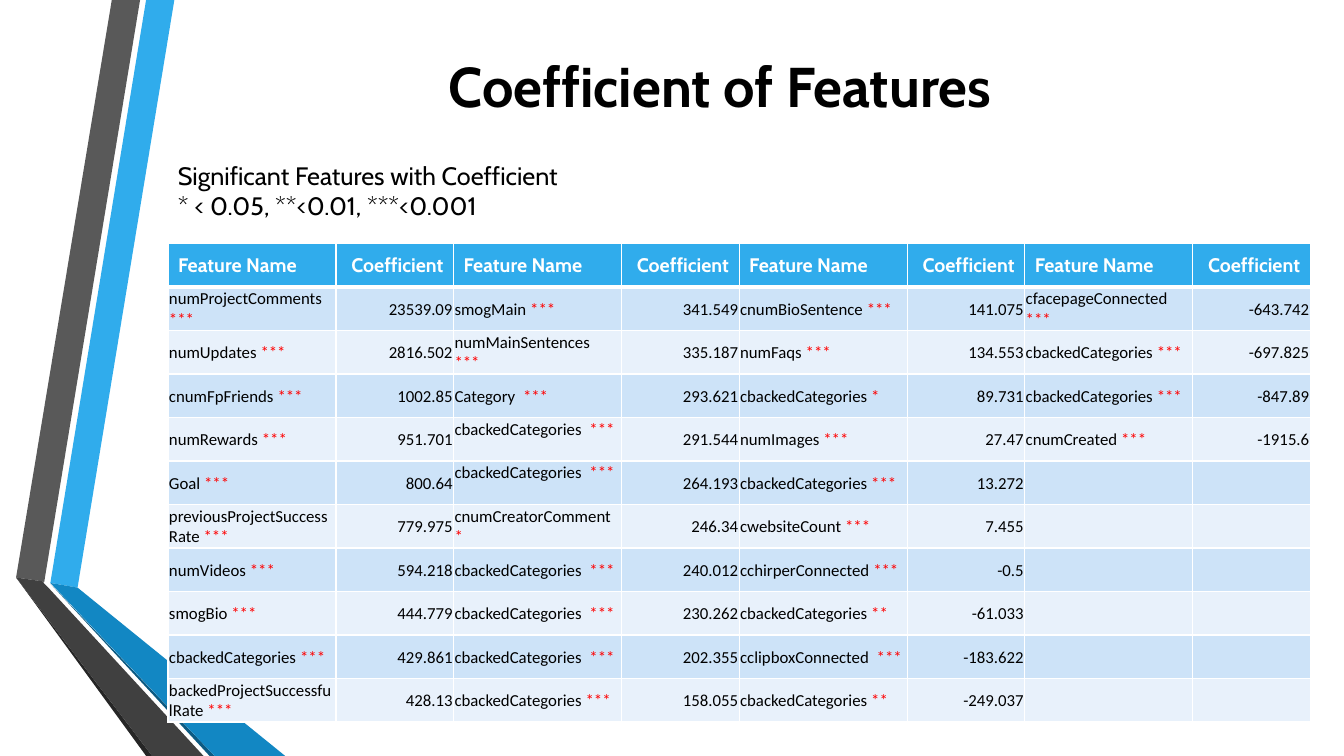
import pptx
import pptx.dml.color
import pptx.enum.text
import pptx.oxml
import pptx.oxml.ns
import pptx.util

RGB = pptx.dml.color.RGBColor
ALIGN = pptx.enum.text.PP_ALIGN
MIDDLE = pptx.enum.text.MSO_ANCHOR.MIDDLE

BLACK = RGB(0x00, 0x00, 0x00)
WHITE = RGB(0xFF, 0xFF, 0xFF)
RED = RGB(0xFF, 0x00, 0x00)
SKY = RGB(0x30, 0xAC, 0xEC)
BLUE = RGB(0x12, 0x87, 0xC3)
NAVY = RGB(0x0C, 0x5A, 0x82)
GREY = RGB(0x59, 0x59, 0x59)
DARK = RGB(0x40, 0x40, 0x40)
COAL = RGB(0x26, 0x26, 0x26)
BANDS = RGB(0xE8, 0xF1, 0xFB), RGB(0xCD, 0xE3, 0xF8)

# The slide is a grid of 160 columns by 90 rows
COLS, ROWS = 160, 90
UNIT = pptx.util.Inches(1 / 12)

# Ribbon pieces, from back to front
RIBBONS = [
    (SKY, [(6, 69.4), (9.24, 69.96), (20.76, 0), (17.4, 0)]),
    (GREY, [(16.68, 0), (13.32, 0), (1.92, 68.76), (5.28, 69.24)]),
    (COAL, [(1.92, 68.76), (17.4, 90), (18.12, 90)]),
    (NAVY, [(6, 69.48), (24.96, 90), (25.56, 90)]),
    (BLUE, [(6, 69.4), (25.56, 90), (33.96, 90), (9.24, 69.96)]),
    (DARK, [(24.24, 90), (5.76, 69.96), (5.16, 69.36), (5.28, 69.24),
            (1.92, 68.76), (18.12, 90)]),
]

# One list per pair of table columns: feature with stars, coefficient
FEATURES = [
    [("numProjectComments ***", "23539.09"),
     ("numUpdates ***", "2816.502"),
     ("cnumFpFriends ***", "1002.85"),
     ("numRewards ***", "951.701"),
     ("Goal ***", "800.64"),
     ("previousProjectSuccessRate ***", "779.975"),
     ("numVideos ***", "594.218"),
     ("smogBio ***", "444.779"),
     ("cbackedCategories ***", "429.861"),
     ("backedProjectSuccessfulRate ***", "428.13")],
    [("smogMain ***", "341.549"),
     ("numMainSentences  ***", "335.187"),
     ("Category  ***", "293.621"),
     ("cbackedCategories  ***", "291.544"),
     ("cbackedCategories  ***", "264.193"),
     ("cnumCreatorComment  *", "246.34"),
     ("cbackedCategories  ***", "240.012"),
     ("cbackedCategories  ***", "230.262"),
     ("cbackedCategories  ***", "202.355"),
     ("cbackedCategories ***", "158.055")],
    [("cnumBioSentence ***", "141.075"),
     ("numFaqs ***", "134.553"),
     ("cbackedCategories *", "89.731"),
     ("numImages ***", "27.47"),
     ("cbackedCategories ***", "13.272"),
     ("cwebsiteCount ***", "7.455"),
     ("cchirperConnected ***", "-0.5"),
     ("cbackedCategories **", "-61.033"),
     ("cclipboxConnected  ***", "-183.622"),
     ("cbackedCategories **", "-249.037")],
    [("cfacepageConnected ***", "-643.742"),
     ("cbackedCategories ***", "-697.825"),
     ("cbackedCategories ***", "-847.89"),
     ("cnumCreated ***", "-1915.6")],
]
RAISED = {(4, 2), (5, 2)}  # cells whose text sits above the middle


def add_run(p, text, size=12, font="Calibri", color=BLACK, bold=False):
    r = p.add_run()
    r.text = text
    r.font.size = pptx.util.Pt(size)
    r.font.name = font
    r.font.bold = bold
    r.font.color.rgb = color


def add_borders(cell, **widths):
    tcPr = cell._tc.get_or_add_tcPr()
    for side in "LRTB":
        width = pptx.util.Pt(widths.get(side, 1))
        tcPr.append(pptx.oxml.parse_xml(
            f'<a:ln{side} {pptx.oxml.ns.nsdecls("a")} w="{width}"><a:solidFill>'
            f'<a:srgbClr val="{WHITE}"/></a:solidFill></a:ln{side}>'))


class Deck:
    def __init__(self):
        self.font = "Cabin"
        self.prs = pptx.Presentation()
        self.prs.slide_width = COLS * UNIT
        self.prs.slide_height = ROWS * UNIT
        self.s = self.prs.slides.add_slide(self.prs.slide_layouts[6])

    def box(self, *lengths):
        return [round(n * UNIT) for n in lengths]

    def outline(self, points, color):
        corners = [self.box(*point) for point in points]
        builder = self.s.shapes.build_freeform(*corners[0], scale=1.0)
        builder.add_line_segments(corners[1:], close=True)
        sp = builder.convert_to_shape()
        sp.shadow.inherit = False
        sp.fill.solid()
        sp.fill.fore_color.rgb = color
        sp.line.fill.background()

    def text(self, lines, at, align=ALIGN.LEFT, anchor=None, **style):
        tf = self.s.shapes.add_textbox(*self.box(*at)).text_frame
        tf.word_wrap = True
        tf.vertical_anchor = anchor
        for i, line in enumerate(lines):
            p = tf.add_paragraph() if i else tf.paragraphs[0]
            p.alignment = align
            add_run(p, line, font=self.font, **style)

    def feature_table(self, groups, at, widths):
        rows = 1 + max(len(group) for group in groups)
        table = self.s.shapes.add_table(rows, 2 * len(groups), *self.box(*at)).table
        for i, column in enumerate(table.columns):
            column.width = widths[i % 2] * UNIT
        for row in range(rows):
            for col in range(2 * len(groups)):
                cell = table.cell(row, col)
                add_borders(cell, T=3 if row == 1 else 1, B=1 if row else 3)
                cell.fill.solid()
                cell.fill.fore_color.rgb = BANDS[row % 2] if row else SKY
                cell.vertical_anchor = MIDDLE
                p = cell.text_frame.paragraphs[0]
                p.alignment = ALIGN.RIGHT if col % 2 else ALIGN.LEFT
                if row == 0:
                    heading = ("Feature Name", "Coefficient")[col % 2]
                    add_run(p, heading, size=14, font=self.font, color=WHITE, bold=True)
                    continue
                cell.margin_left = cell.margin_right = pptx.util.Inches(0.01)
                cell.margin_top = pptx.util.Inches(0.01)
                cell.margin_bottom = pptx.util.Inches(0.2 if (row, col) in RAISED else 0)
                group = groups[col // 2]
                if row > len(group):
                    continue
                entry = group[row - 1][col % 2]
                if col % 2:
                    add_run(p, entry)
                else:
                    name = entry.rstrip("*")
                    add_run(p, name)
                    add_run(p, entry[len(name):], color=RED)


def main():
    deck = Deck()

    # Ribbon on the left edge
    for color, points in RIBBONS:
        deck.outline(points, color)

    # Title and legend of significance levels
    deck.text(["Coefficient of Features"], (20, 4.9, 131.4, 10.4),
              align=ALIGN.CENTER, anchor=MIDDLE, size=40, bold=True)
    deck.text(["Significant Features with Coefficient", "* < 0.05, **<0.01, ***<0.001"],
              (20, 18.5, 98, 8.5), size=18)

    # Coefficients
    deck.feature_table(FEATURES, (20, 29, 136, 57), widths=(20, 14))

    deck.prs.save("out.pptx")


if __name__ == "__main__":
    main()
